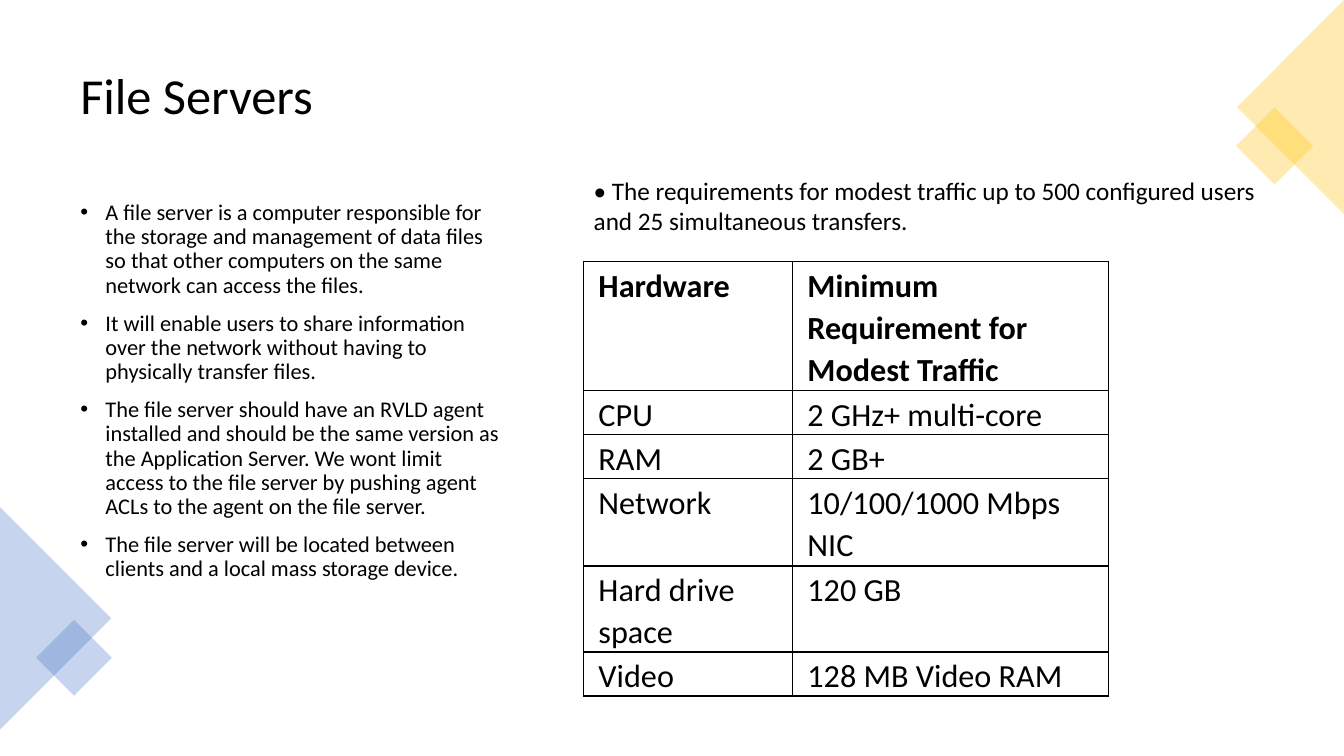
from lxml.etree import SubElement
from pptx import Presentation
from pptx.dml.color import RGBColor
from pptx.enum.shapes import MSO_SHAPE as Preset
from pptx.enum.text import MSO_ANCHOR as Anchor
from pptx.oxml import parse_xml
from pptx.oxml.ns import nsdecls, qn
from pptx.util import Pt

PX = 9525
BLACK, BLUE, GOLD = "000000", "4472C4", "FFC000"


def color(hex_code):
    return RGBColor.from_string(hex_code)


def write(paragraph, words, size, bold=False):
    run = paragraph.add_run()
    run.text = words
    run.font.name = "Calibri"
    run.font.size = Pt(size)
    run.font.bold = bold
    run.font.color.rgb = color(BLACK)


deck = Presentation()
deck.slide_width, deck.slide_height = 1280 * PX, 720 * PX
slide = deck.slides.add_slide(deck.slide_layouts[6])
shapes = slide.shapes

heading = shapes.add_textbox(67 * PX, 34 * PX, 1145 * PX, 119 * PX).text_frame
heading.word_wrap = True
heading.vertical_anchor = Anchor.MIDDLE
heading.paragraphs[0].line_spacing = 0.9
write(heading.paragraphs[0], "File Servers", 36)

facts = [
    "A file server is a computer responsible for the storage and management of data files "
    "so that other computers on the same network can access the files.",
    "It will enable users to share information over the network without having to "
    "physically transfer files.",
    "The file server should have an RVLD agent installed and should be the same version as "
    "the Application Server. We wont limit access to the file server by pushing agent ACLs "
    "to the agent on the file server.",
    "The file server will be located between clients and a local mass storage device.",
]
overview = shapes.add_textbox(67 * PX, 187 * PX, 420 * PX, 462 * PX).text_frame
overview.word_wrap = True
for index, fact in enumerate(facts):
    paragraph = overview.add_paragraph() if index else overview.paragraphs[0]
    paragraph.line_spacing = 0.9
    paragraph.space_before = Pt(10)
    props = paragraph._p.get_or_add_pPr()
    props.set("marL", str(24 * PX))
    props.set("indent", str(-24 * PX))
    SubElement(props, qn("a:buFont")).set("typeface", "Arial")
    SubElement(props, qn("a:buChar")).set("char", "•")
    write(paragraph, fact, 16)

corners = [
    (BLUE, [(Preset.ISOSCELES_TRIANGLE, -53, 536, 212, 106, 90),
            (Preset.RECTANGLE, 45, 601, 51, 51, 45)]),
    (GOLD, [(Preset.RECTANGLE, 1188, 113, 52, 52, 45),
            (Preset.ISOSCELES_TRIANGLE, 1127, 51, 204, 102, 270)]),
]
for tint, pieces in corners:
    corner = shapes.add_group_shape()
    for preset, left, top, width, height, angle in pieces:
        piece = corner.shapes.add_shape(preset, left * PX, top * PX, width * PX, height * PX)
        piece.rotation = angle
        piece.shadow.inherit = False
        piece.line.fill.background()
        piece.fill.solid()
        piece.fill.fore_color.rgb = color(tint)
        tint_xml = piece._element.spPr.find(qn("a:solidFill"))[0]
        SubElement(tint_xml, qn("a:alpha")).set("val", "30000")

requirements = [
    ("Hardware", "Minimum Requirement for Modest Traffic"),
    ("CPU", "2 GHz+ multi-core"),
    ("RAM", "2 GB+"),
    ("Network", "10/100/1000 Mbps NIC"),
    ("Hard drive space", "120 GB"),
    ("Video", "128 MB Video RAM"),
]
column_widths = [199, 301]
row_heights = [123, 42, 42, 83, 82, 42]
hardware = shapes.add_table(
    len(requirements), 2, 556 * PX, 249 * PX, sum(column_widths) * PX, sum(row_heights) * PX
).table
hardware.first_row = hardware.horz_banding = False
for column, width in zip(hardware.columns, column_widths):
    column.width = width * PX
for row_index, (row, height) in enumerate(zip(hardware.rows, row_heights)):
    row.height = height * PX
    for cell, words in zip(row.cells, requirements[row_index]):
        cell.margin_left = cell.margin_right = 14 * PX
        cell.margin_top, cell.margin_bottom = 2 * PX, 0
        paragraph = cell.text_frame.paragraphs[0]
        paragraph.line_spacing = 1.07
        paragraph.space_after = Pt(8)
        write(paragraph, words, 23, bold=row_index == 0)
        cell_props = cell._tc.get_or_add_tcPr()
        for side in ("lnL", "lnR", "lnT", "lnB"):
            cell_props.append(parse_xml(
                f'<a:{side} {nsdecls("a")} w="12700"><a:solidFill>'
                f'<a:srgbClr val="{BLACK}"/></a:solidFill></a:{side}>'
            ))
        cell.fill.background()

traffic = shapes.add_textbox(556 * PX, 162 * PX, 657 * PX, 97 * PX).text_frame
traffic.word_wrap = True
write(
    traffic.paragraphs[0],
    "• The requirements for modest traffic up to 500 configured users "
    "and 25 simultaneous transfers.",
    18,
)

deck.save("out.pptx")
